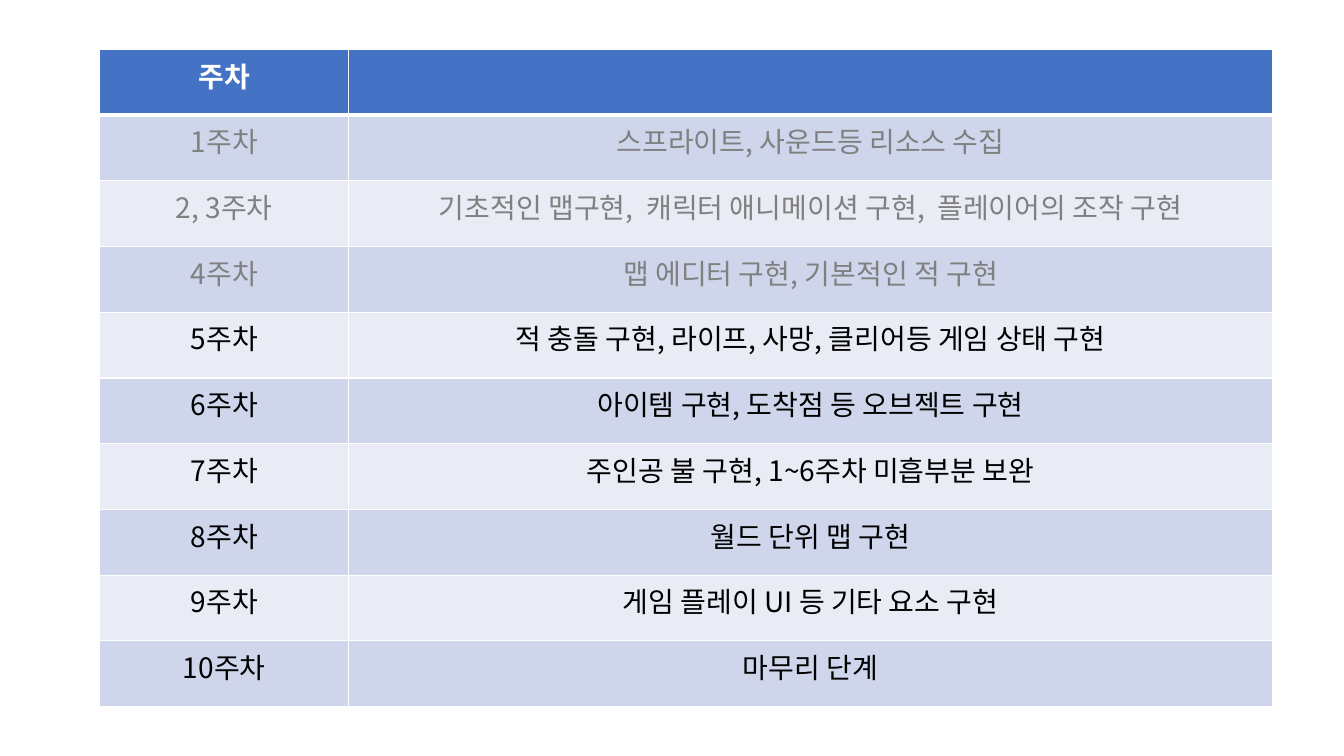
import pptx
import pptx.util
import pptx.dml.color
import pptx.enum.text
import pptx.oxml.ns
from lxml import etree

Inches = pptx.util.Inches
Pt = pptx.util.Pt
FONT = "Noto Sans CJK KR"
COLORS = {
    "head": "4472C4",
    "odd": "CFD5EA",
    "even": "E9EBF5",
    "white": "FFFFFF",
    "done": "808080",
    "todo": "000000",
}
DONE = 3  # rows of finished work, shown in grey
PLAN = [
    ("주차", ""),
    ("1주차", "스프라이트, 사운드등 리소스 수집"),
    ("2, 3주차", "기초적인 맵구현,  캐릭터 애니메이션 구현,  플레이어의 조작 구현"),
    ("4주차", "맵 에디터 구현, 기본적인 적 구현"),
    ("5주차", "적 충돌 구현, 라이프, 사망, 클리어등 게임 상태 구현"),
    ("6주차", "아이템 구현, 도착점 등 오브젝트 구현"),
    ("7주차", "주인공 불 구현, 1~6주차 미흡부분 보완"),
    ("8주차", "월드 단위 맵 구현"),
    ("9주차", "게임 플레이 UI 등 기타 요소 구현"),
    ("10주차", "마무리 단계"),
]


def color(name):
    return pptx.dml.color.RGBColor.from_string(COLORS[name])


def border(cell, row):
    """Draw white rules, with a thick one under the header."""
    props = cell._tc.get_or_add_tcPr()
    thick = {"T": row == 1, "B": row == 0}
    for side in "LRTB":
        width = Pt(3 if thick.get(side) else 1)
        line = etree.SubElement(
            props, pptx.oxml.ns.qn("a:ln" + side), w=str(width))
        fill = etree.SubElement(line, pptx.oxml.ns.qn("a:solidFill"))
        etree.SubElement(
            fill, pptx.oxml.ns.qn("a:srgbClr"), val=COLORS["white"])


def write(cell, text, shade, bold):
    para = cell.text_frame.paragraphs[0]
    para.alignment = pptx.enum.text.PP_ALIGN.CENTER
    if not text:
        return
    run = para.add_run()
    run.text = text
    font = run.font
    font.name, font.size, font.bold = FONT, Pt(20), bold
    font.color.rgb = color(shade)
    # Korean letters take the East Asian font
    etree.SubElement(
        font._element, pptx.oxml.ns.qn("a:ea"), typeface=FONT)


def schedule(slide, left, top, width, height):
    """Place the weekly plan in the given box, in inches."""
    box = [Inches(v) for v in (left, top, width, height)]
    table = slide.shapes.add_table(len(PLAN), 2, *box).table
    week = 2.47
    table.columns[0].width = Inches(week)
    table.columns[1].width = Inches(width - week)

    for row, texts in enumerate(PLAN):
        table.rows[row].height = Inches(height / len(PLAN))
        if row == 0:
            back, shade = "head", "white"
        else:
            back = "odd" if row % 2 else "even"
            shade = "done" if row <= DONE else "todo"
        for col, text in enumerate(texts):
            cell = table.cell(row, col)
            border(cell, row)
            cell.fill.solid()
            cell.fill.fore_color.rgb = color(back)
            write(cell, text, shade, row == 0)


def main():
    deck = pptx.Presentation()
    deck.slide_width, deck.slide_height = Inches(13.33), Inches(7.5)
    slide = deck.slides.add_slide(deck.slide_layouts[6])
    schedule(slide, 0.99, 0.49, 11.63, 6.52)
    deck.save("out.pptx")


if __name__ == "__main__":
    main()
